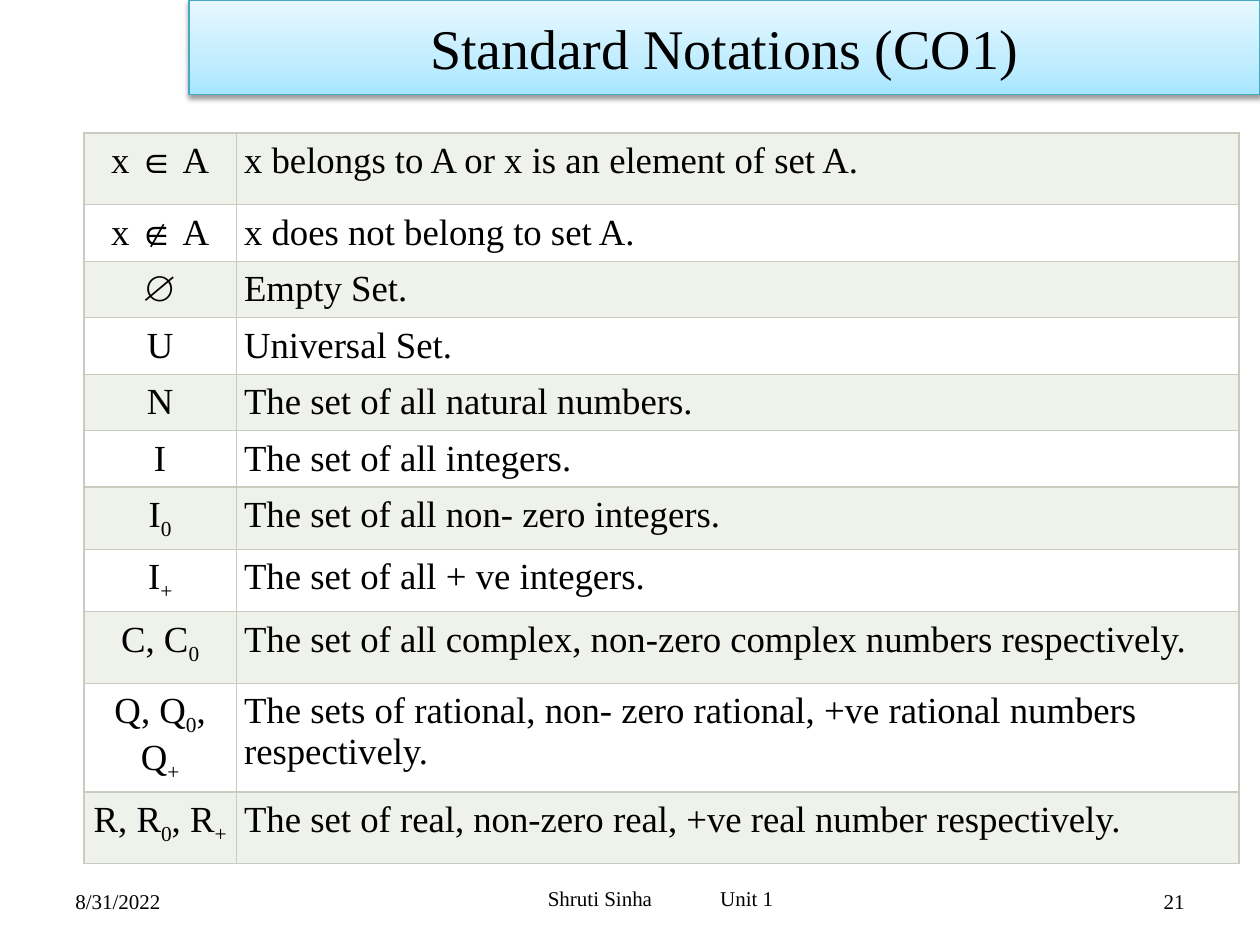
from copy import deepcopy
from lxml.etree import SubElement
from pptx import Presentation
from pptx.dml.color import RGBColor
from pptx.enum.shapes import MSO_SHAPE
from pptx.enum.text import MSO_ANCHOR, PP_ALIGN
from pptx.oxml import parse_xml
from pptx.oxml.ns import qn
from pptx.util import Pt

NS = 'xmlns:a="http://schemas.openxmlformats.org/drawingml/2006/main"'
ROWS = [
    ("x ∈ A", "x belongs to A or x is an element of set A.", 41),
    ("x ∉ A", "x does not belong to set A.", 30),
    ("∅", "Empty Set.", 30),
    ("U", "Universal Set.", 30),
    ("N", "The set of all natural numbers.", 30),
    ("I", "The set of all integers.", 30),
    ("I_0", "The set of all non- zero integers.", 30),
    ("I_+", "The set of all + ve integers.", 30),
    ("C, C_0", "The set of all complex, non-zero complex numbers respectively.", 41),
    ("Q, Q_0, Q_+", "The sets of rational, non- zero rational, +ve rational numbers respectively.", 58),
    ("R, R_0, R_+", "The set of real, non-zero real, +ve real number respectively.", 41),
]


def color(value):
    return RGBColor.from_string(value)


class Deck:
    font = "Times New Roman"
    ink = "000000"
    border = "C7CCBE"
    bands = ("EFF1EB", "FFFFFF")

    def __init__(self, prs):
        self.s = prs.slides.add_slide(prs.slide_layouts[6])

    def style(self, font, size):
        font.name = self.font
        font.size = Pt(size)
        font.color.rgb = color(self.ink)

    def fill_text(self, tf, text, size, align):
        tf.word_wrap = True
        tf.vertical_anchor = MSO_ANCHOR.MIDDLE
        tf.text = text
        p = tf.paragraphs[0]
        p.alignment = align
        for r in p.runs:
            self.style(r.font, size)
        return p

    def text(self, box, text, align=PP_ALIGN.LEFT, tabs=()):
        sp = self.s.shapes.add_textbox(*map(Pt, box))
        p = self.fill_text(sp.text_frame, text, 12, align)
        if tabs:
            tab_list = SubElement(p._p.get_or_add_pPr(), qn("a:tabLst"))
            for stop in tabs:
                SubElement(tab_list, qn("a:tab"), pos=str(Pt(stop)), algn="l")

    def banner(self, box, text, stops, line):
        sp = self.s.shapes.add_shape(MSO_SHAPE.RECTANGLE, *map(Pt, box))
        sp.fill.gradient()
        sp.fill.gradient_angle = 90
        first = sp._element.spPr.find(".//" + qn("a:gs"))
        first.addnext(deepcopy(first))
        for stop, (position, value) in zip(sp.fill.gradient_stops, stops):
            stop.position = position
            stop.color.rgb = color(value)
        sp.line.color.rgb = color(line)
        sp.line.width = Pt(0.75)
        sp.shadow.inherit = False
        sp._element.spPr.find(qn("a:effectLst")).append(parse_xml(
            f'<a:outerShdw {NS} blurRad="{Pt(3.1)}" dist="{Pt(1.6)}" dir="5400000" rotWithShape="0">'
            '<a:srgbClr val="000000"><a:alpha val="38000"/></a:srgbClr></a:outerShdw>'))
        self.fill_text(sp.text_frame, text, 32, PP_ALIGN.CENTER)

    def cell(self, cell, text, fill, align):
        cell.margin_left = cell.margin_right = Pt(4.5)
        cell.margin_top = cell.margin_bottom = Pt(4.5)
        cell.fill.solid()
        cell.fill.fore_color.rgb = color(fill)
        for i, side in enumerate("LRTB"):
            cell._tc.tcPr.insert(i, parse_xml(
                f'<a:ln{side} {NS} w="{Pt(0.75)}"><a:solidFill>'
                f'<a:srgbClr val="{self.border}"/></a:solidFill></a:ln{side}>'))
        p = cell.text_frame.paragraphs[0]
        p.alignment = align
        base, *rest = text.split("_")
        pieces = [(base, False)]
        for part in rest:
            pieces += [(part[0], True), (part[1:], False)]
        for piece, lowered in pieces:
            if piece:
                r = p.add_run()
                r.text = piece
                self.style(r.font, 21)
                if lowered:
                    r.font._element.set("baseline", "-25000")

    def table(self, left, top, widths, rows):
        height = sum(row[2] for row in rows)
        frame = self.s.shapes.add_table(
            len(rows), len(widths), Pt(left), Pt(top), Pt(sum(widths)), Pt(height))
        table = frame.table
        table.first_row = table.horz_banding = False
        for column, width in zip(table.columns, widths):
            column.width = Pt(width)
        for i, (symbol, meaning, row_height) in enumerate(rows):
            table.rows[i].height = Pt(row_height)
            fill = self.bands[i % 2]
            self.cell(table.cell(i, 0), symbol, fill, PP_ALIGN.CENTER)
            self.cell(table.cell(i, 1), meaning, fill, PP_ALIGN.LEFT)


def main():
    prs = Presentation()
    prs.slide_width, prs.slide_height = Pt(720), Pt(540)
    deck = Deck(prs)
    deck.table(48, 76, (87, 573), ROWS)
    deck.text((36, 500.5, 168, 28.75), "8/31/2022")
    deck.text((516, 500.5, 168, 28.75), "21", PP_ALIGN.RIGHT)
    deck.banner((108, 0, 612, 54), "Standard Notations (CO1)",
                ((0, "A7E6FF"), (0.35, "C1EDFF"), (1, "E7F8FF")), "46AAC5")
    deck.text((180, 499, 396, 28.75), "\tShruti Sinha\tUnit 1", tabs=(126, 224.5))
    prs.save("out.pptx")


if __name__ == "__main__":
    main()
